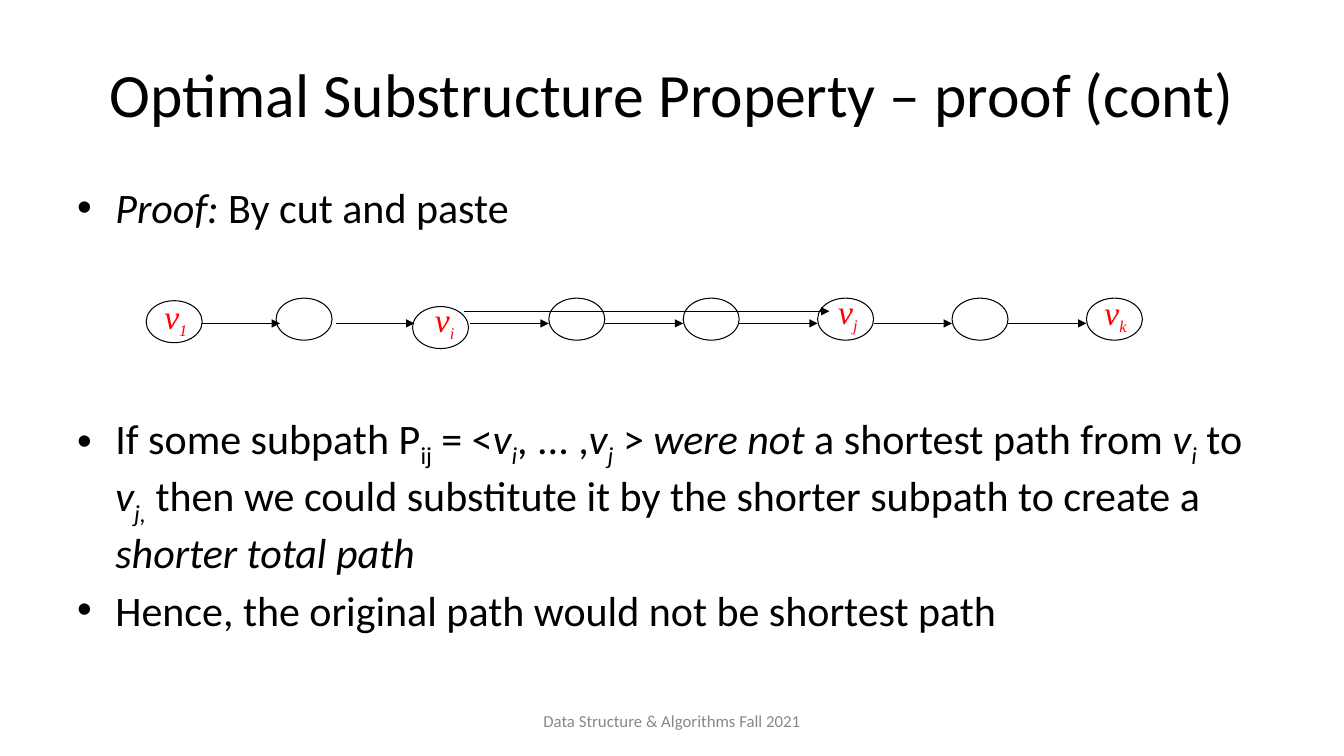
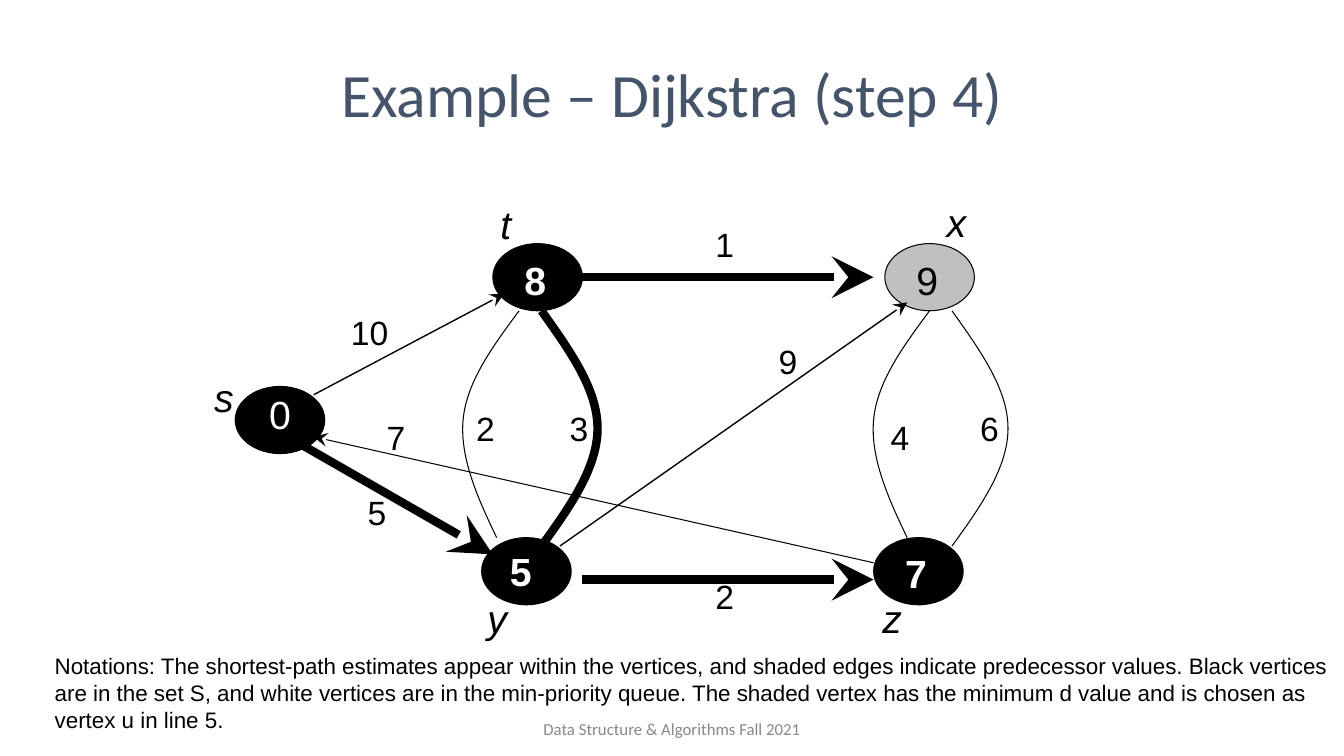
import pptx
import pptx.dml.color
import pptx.enum.shapes
import pptx.enum.text
import pptx.util
from pptx.oxml.ns import qn
from lxml import etree

WIDTH, HEIGHT = 13.33, 7.5
COLUMNS, ROWS = 120, 90
BLACK, WHITE, RED, SLATE = "000000", "FFFFFF", "FF0000", "44546A"
GREY, SILVER = "888888", "C0C0C0"
BODY_FONT, GRAPH_FONT, MATH_FONT = "Calibri", "Arial", "Times New Roman"
FOOTER = "Data Structure & Algorithms Fall 2021"
LEFT = pptx.enum.text.PP_ALIGN.LEFT
CENTER = pptx.enum.text.PP_ALIGN.CENTER
THIN, MEDIUM, THICK = 0.75, 1, 6


def col(count):
    return pptx.util.Inches(count * WIDTH / COLUMNS)


def row(count):
    return pptx.util.Inches(count * HEIGHT / ROWS)


def rgb(color):
    return pptx.dml.color.RGBColor.from_string(color)


def style_span(span, size, font, color, marks=""):
    """Marks: i for italic, b for bold, _ for subscript."""
    span.font.size = pptx.util.Pt(size)
    span.font.name = font
    span.font.color.rgb = rgb(color)
    span.font.italic = "i" in marks
    span.font.bold = "b" in marks
    if "_" in marks:
        span._r.get_or_add_rPr().set("baseline", "-25000")


def add_box(page, left, top, width, height, middle=False):
    """Add an empty text box placed on the grid and return its frame."""
    box = page.shapes.add_textbox(col(left), row(top), col(width), row(height))
    frame = box.text_frame
    frame.word_wrap = True
    if middle:
        frame.vertical_anchor = pptx.enum.text.MSO_ANCHOR.MIDDLE
    return frame


def add_text(page, text, place, size, font, color,
             marks="", align=CENTER, middle=False):
    frame = add_box(page, *place, middle=middle)
    frame.text = text
    para = frame.paragraphs[0]
    para.alignment = align
    style_span(para.runs[0], size, font, color, marks)
    return para


def add_label(page, text, center, top, size, color=BLACK, marks=""):
    width = 7
    add_text(page, text, (center - width / 2, top, width, 6), size, GRAPH_FONT,
             color, marks)


def add_frame(deck, title, title_color, footer_top):
    """Add a page with the shared title and footer."""
    page = deck.slides.add_slide(deck.slide_layouts[6])
    add_text(page, title, (6, 3.6, 108, 15), 44, BODY_FONT, title_color,
             middle=True)
    add_text(page, FOOTER, (39.75, footer_top, 40.5, 4.8), 12, BODY_FONT, GREY,
             middle=True)
    return page


def add_bullet(para, spans, space_before=0):
    para.space_before = pptx.util.Pt(space_before)
    properties = para._p.get_or_add_pPr()
    indent = pptx.util.Inches(0.38)
    properties.set("marL", str(indent))
    properties.set("indent", str(-indent))
    font = etree.SubElement(properties, qn("a:buFont"))
    font.set("typeface", GRAPH_FONT)
    etree.SubElement(properties, qn("a:buChar")).set("char", "•")
    for text, marks in spans:
        span = para.add_run()
        span.text = text
        style_span(span, 30, BODY_FONT, BLACK, marks)


def draw_line(shape, weight):
    shape.line.color.rgb = rgb(BLACK)
    shape.line.width = pptx.util.Pt(weight)


def add_node(page, left, top, width, height, fill=None):
    node = page.shapes.add_shape(pptx.enum.shapes.MSO_SHAPE.OVAL, col(left),
                                 row(top), col(width), row(height))
    node.shadow.inherit = False
    if fill:
        node.fill.solid()
        node.fill.fore_color.rgb = rgb(fill)
    else:
        node.fill.background()
    draw_line(node, THIN)


def add_arrow(page, start, end, weight=THIN, head="triangle", head_size="med"):
    arrow = page.shapes.add_connector(
        pptx.enum.shapes.MSO_CONNECTOR.STRAIGHT,
        col(start[0]), row(start[1]), col(end[0]), row(end[1]))
    draw_line(arrow, weight)
    tip = etree.SubElement(arrow.line._get_or_add_ln(), qn("a:tailEnd"))
    for key, value in [("type", head), ("w", head_size), ("len", head_size)]:
        tip.set(key, value)
    etree.SubElement(arrow._element.spPr, qn("a:effectLst"))


def bend_segments(curve):
    """Turn each three straight segments into one cubic curve."""
    segments = list(curve._element.iter(qn("a:lnTo")))
    for first in range(0, len(segments), 3):
        bend = etree.Element(qn("a:cubicBezTo"))
        segments[first].addprevious(bend)
        for segment in segments[first:first + 3]:
            bend.append(segment[0])
            segment.getparent().remove(segment)


def add_curve(page, knots, shift=0, weight=THIN):
    """Draw cubic curves: a start, then two controls and an end for each."""
    points = [(col(x + shift), row(y)) for x, y in knots]
    builder = page.shapes.build_freeform(*points[0])
    builder.add_line_segments(points[1:], close=False)
    curve = builder.convert_to_shape()
    bend_segments(curve)
    curve.shadow.inherit = False
    curve.fill.background()
    draw_line(curve, weight)


def add_path_name(page, subscript, center, top):
    para = add_text(page, "v", (center - 3.3, top, 6.6, 6), 24, MATH_FONT, RED, "i")
    span = para.add_run()
    span.text = subscript
    style_span(span, 20, MATH_FONT, RED, "i_")


def build_proof(deck):
    page = add_frame(deck, "Optimal Substructure Property – proof (cont)",
                     BLACK, 83.4)
    bullets = [
        ([("Proof:", "i"), (" By cut and paste", "")], 0),
        ([("If some subpath P", ""), ("ij", "_"), (" = <", ""), ("v", "i"),
          ("i", "i_"), (", ... ,", ""), ("v", "i"), ("j", "i_"), (" > ", ""),
          ("were not", "i"), (" a shortest path from ", ""), ("v", "i"),
          ("i", "i_"), (" to ", ""), ("v", "i"), ("j,", "i_"),
          (" then we could substitute it by the shorter subpath to create a ", ""),
          ("shorter total path", "i")], 129),
        ([("Hence, the original path would not be shortest path", "")], 4.8),
    ]
    frame = add_box(page, 6, 21, 108, 59.4)
    for index, (spans, gap) in enumerate(bullets):
        para = frame.add_paragraph() if index else frame.paragraphs[0]
        add_bullet(para, spans, gap)

    pitch = 12
    nodes = [(13.05, 35.8), (24.65, 35.5), (36.83, 36.5)]
    nodes += [(49 + pitch * step, 35.5) for step in range(5)]
    for left, top in nodes:
        add_node(page, left, top, 5, 5)
    for step in range(len(nodes) - 1):
        start = 18 + pitch * step
        add_arrow(page, (start, 38.5), (start + 7, 38.5))
    add_arrow(page, (41.4, 37.05), (74.05, 37.05))
    for subscript, center, top in [("1", 15.7, 34.6), ("i", 39.7, 35),
                                   ("j", 75.7, 34), ("k", 99.6, 34.2)]:
        add_path_name(page, subscript, center, top)


def build_dijkstra(deck):
    page = add_frame(deck, "Example – Dijkstra (step 4)", SLATE, 84.4)
    for left, top, fill in [(21, 46, BLACK), (44, 29, BLACK), (43, 64, BLACK),
                            (79, 29, SILVER), (78, 64, BLACK)]:
        add_node(page, left, top, 8, 8, fill)

    edges = [
        ((27, 53), (44, 66), THICK), ((28, 47), (45, 35), MEDIUM),
        ((52, 69), (78, 69), THICK), ((50, 65), (81, 36), MEDIUM),
        ((78, 67), (28, 52), THIN), ((52, 33), (78, 33), THICK),
    ]
    for start, end, weight in edges:
        add_arrow(page, start, end, weight, "stealth", "lg")

    right_bow = [(85, 65), (87.5, 60.4), (90, 55.7), (90, 51),
                 (90, 46.3), (87.5, 41.7), (85, 37)]
    left_bow = [(83, 37), (80.6, 41.3), (78.3, 45.5), (78, 50),
                (77.7, 54.5), (79.3, 59.3), (81, 64)]
    for shift, right_weight in [(0, THIN), (-36.65, THICK)]:
        add_curve(page, right_bow, shift, right_weight)
        add_curve(page, left_bow, shift)

    weights = [("10", 33, 36.5), ("5", 33.65, 58), ("2", 43.35, 48),
               ("1", 64.7, 26.05), ("4", 80.35, 49), ("9", 70.35, 40),
               ("6", 88.35, 48), ("2", 64.7, 68), ("7", 35.35, 49),
               ("3", 51.7, 48)]
    for text, center, top in weights:
        add_label(page, text, center, top, 24)

    names = [("s", 20, 43.8), ("t", 45.15, 23.2), ("x", 85.4, 23),
             ("y", 44.4, 70.2), ("z", 79.65, 70.2)]
    for text, center, top in names:
        add_label(page, text, center, top, 28, marks="i")

    estimates = [("0", 25, 45.85, WHITE, ""), ("8", 47.8, 29.9, WHITE, "b"),
                 ("5", 46.5, 64.6, WHITE, "b"), ("9", 82.8, 29.9, BLACK, ""),
                 ("7", 81.8, 64.8, WHITE, "b")]
    for text, center, top, color, marks in estimates:
        add_label(page, text, center, top, 28, color, marks)

    note = ("Notations: The shortest-path estimates appear within the vertices, "
            "and shaded edges indicate predecessor values. Black vertices are in "
            "the set S, and white vertices are in the min-priority queue. The "
            "shaded vertex has the minimum d value and is chosen as vertex u in "
            "line 5.")
    add_text(page, note, (4, 77.05, 116, 11), 16, GRAPH_FONT, BLACK, align=LEFT)


def main():
    deck = pptx.Presentation()
    deck.slide_width = pptx.util.Inches(WIDTH)
    deck.slide_height = pptx.util.Inches(HEIGHT)
    build_proof(deck)
    build_dijkstra(deck)
    deck.save("out.pptx")


if __name__ == "__main__":
    main()
